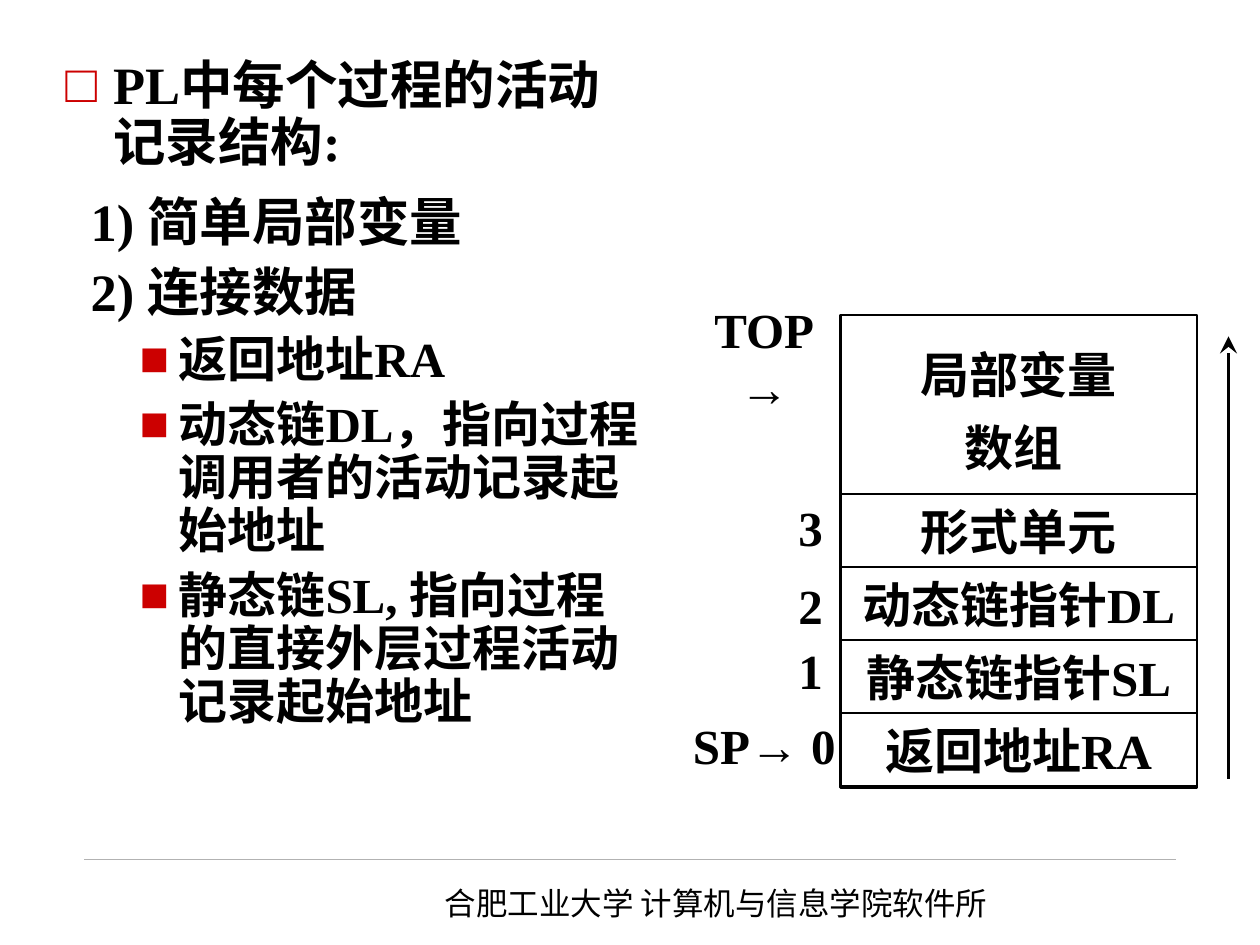
from lxml import etree
from pptx import Presentation
from pptx.dml.color import RGBColor
from pptx.enum.shapes import MSO_CONNECTOR, MSO_SHAPE
from pptx.enum.text import MSO_ANCHOR, PP_ALIGN
from pptx.oxml.ns import qn
from pptx.util import Inches, Pt

LEFT, CENTER, RIGHT = PP_ALIGN.LEFT, PP_ALIGN.CENTER, PP_ALIGN.RIGHT
MIDDLE = MSO_ANCHOR.MIDDLE
RECT, STRAIGHT = MSO_SHAPE.RECTANGLE, MSO_CONNECTOR.STRAIGHT
SERIF, SANS, CJK = "Times New Roman", "Arial", "Noto Sans CJK SC"
BLACK, RED, GRAY = "000000", "CC0000", "B2B2B2"

# kind, text
OUTLINE = [
    ("heading", "PL中每个过程的活动记录结构:"),
    ("item", "1) 简单局部变量"),
    ("item", "2) 连接数据"),
    ("detail", "返回地址RA"),
    ("detail", "动态链DL，指向过程调用者的活动记录起始地址"),
    ("detail", "静态链SL, 指向过程的直接外层过程活动记录起始地址"),
]
# left margin, first-line indent, size, space before, space after, bullet
STYLES = {
    "heading": (0.38, -0.38, 30, 0, 6, "□"),
    "item": (0.2, 0, 30, 7.5, 0, None),
    "detail": (0.9, -0.31, 28, 7, 0, "■"),
}
CELLS = ["形式单元", "动态链指针DL", "静态链指针SL", "返回地址RA"]
ARRAY_LINES = [("局部变量", 2.67, 2.83), ("数组", 3.25, 2.75)]
# runs, left, top, width, alignment
LABELS = [
    ([("TOP", SERIF), ("→", SANS)], 5.39, 2.58, 1.35, CENTER),
    ([("3", SERIF)], 6, 3.92, 0.63, RIGHT),
    ([("2", SERIF)], 6, 4.54, 0.63, RIGHT),
    ([("1", SERIF)], 6, 5.06, 0.63, RIGHT),
    ([("SP", SERIF), ("→", SANS), (" 0", SERIF)], 5.39, 5.65, 1.35, CENTER),
]
STACK_LEFT, STACK_TOP, STACK_W, STACK_H = 6.67, 2.5, 2.83, 3.75
CELL_TOP, CELL_H = 3.92, 0.58
FOOTER = "合肥工业大学 计算机与信息学院软件所"


def rgb(value):
    return RGBColor.from_string(value)


def style_run(r, size, font=SERIF, bold=True):
    r.font.size, r.font.bold, r.font.name = Pt(size), bold, font
    r.font.color.rgb = rgb(BLACK)
    etree.SubElement(r.font._element, qn("a:ea"), typeface=CJK)


def set_bullet(p, margin, indent, char):
    pPr = p._p.get_or_add_pPr()
    pPr.set("marL", str(Inches(margin)))
    pPr.set("indent", str(Inches(indent)))
    if char:
        color = etree.SubElement(pPr, qn("a:buClr"))
        etree.SubElement(color, qn("a:srgbClr"), val=RED)
        etree.SubElement(pPr, qn("a:buFont"), typeface=SANS)
        etree.SubElement(pPr, qn("a:buChar"), char=char)


def write_line(tf, runs, align, size=28, bold=True):
    """Fill a frame with one unwrapped, vertically centred line."""
    tf.word_wrap, tf.vertical_anchor = False, MIDDLE
    p = tf.paragraphs[0]
    p.alignment = align
    for text, font in runs:
        r = p.add_run()
        r.text = text
        style_run(r, size, font, bold)


def add_label(s, runs, x, y, w, h, align, **style):
    tb = s.shapes.add_textbox(Inches(x), Inches(y), Inches(w), Inches(h))
    write_line(tb.text_frame, runs, align, **style)


def add_box(s, y, h):
    sp = s.shapes.add_shape(RECT, Inches(STACK_LEFT), Inches(y),
                            Inches(STACK_W), Inches(h))
    sp.shadow.inherit = False
    sp.fill.background()
    sp.line.color.rgb, sp.line.width = rgb(BLACK), Pt(1.5)
    return sp


def add_line(s, x1, y1, x2, y2, color, width):
    line = s.shapes.add_connector(STRAIGHT, Inches(x1), Inches(y1),
                                  Inches(x2), Inches(y2))
    line.line.color.rgb, line.line.width = rgb(color), Pt(width)
    etree.SubElement(line._element.spPr, qn("a:effectLst"))
    return line


def add_outline(s):
    tb = s.shapes.add_textbox(Inches(0.42), Inches(0.42), Inches(4.75), Inches(6))
    tf = tb.text_frame
    tf.word_wrap = True
    tf.text = "\n".join(text for _, text in OUTLINE)
    for p, (kind, _) in zip(tf.paragraphs, OUTLINE):
        margin, indent, size, before, after, char = STYLES[kind]
        set_bullet(p, margin, indent, char)
        p.level = 1 if kind == "detail" else 0
        p.line_spacing = 0.9
        p.space_before, p.space_after = Pt(before), Pt(after)
        style_run(p.runs[0], size)


def add_stack(s):
    add_box(s, STACK_TOP, STACK_H)
    for i, text in enumerate(CELLS):
        cell = add_box(s, CELL_TOP + i * CELL_H, CELL_H)
        write_line(cell.text_frame, [(text, SERIF)], CENTER)
    for text, y, w in ARRAY_LINES:
        add_label(s, [(text, SERIF)], STACK_LEFT, y, w, 0.6, CENTER)
    for runs, x, y, w, align in LABELS:
        add_label(s, runs, x, y, w, 0.52, align)
    growth = add_line(s, 9.75, 6.18, 9.75, 2.67, BLACK, 1.5)
    etree.SubElement(growth.line._get_or_add_ln(), qn("a:tailEnd"),
                     type="stealth", w="lg", len="lg")


def main():
    prs = Presentation()
    prs.slide_width, prs.slide_height = Inches(10), Inches(7.5)
    s = prs.slides.add_slide(prs.slide_layouts[6])
    add_line(s, 0.67, 6.82, 9.33, 6.82, GRAY, 0.25)
    add_label(s, [(FOOTER, CJK)], 3.43, 6.97, 4.88, 0.4, LEFT, size=18, bold=False)
    add_outline(s)
    add_stack(s)
    prs.save("out.pptx")


if __name__ == "__main__":
    main()
